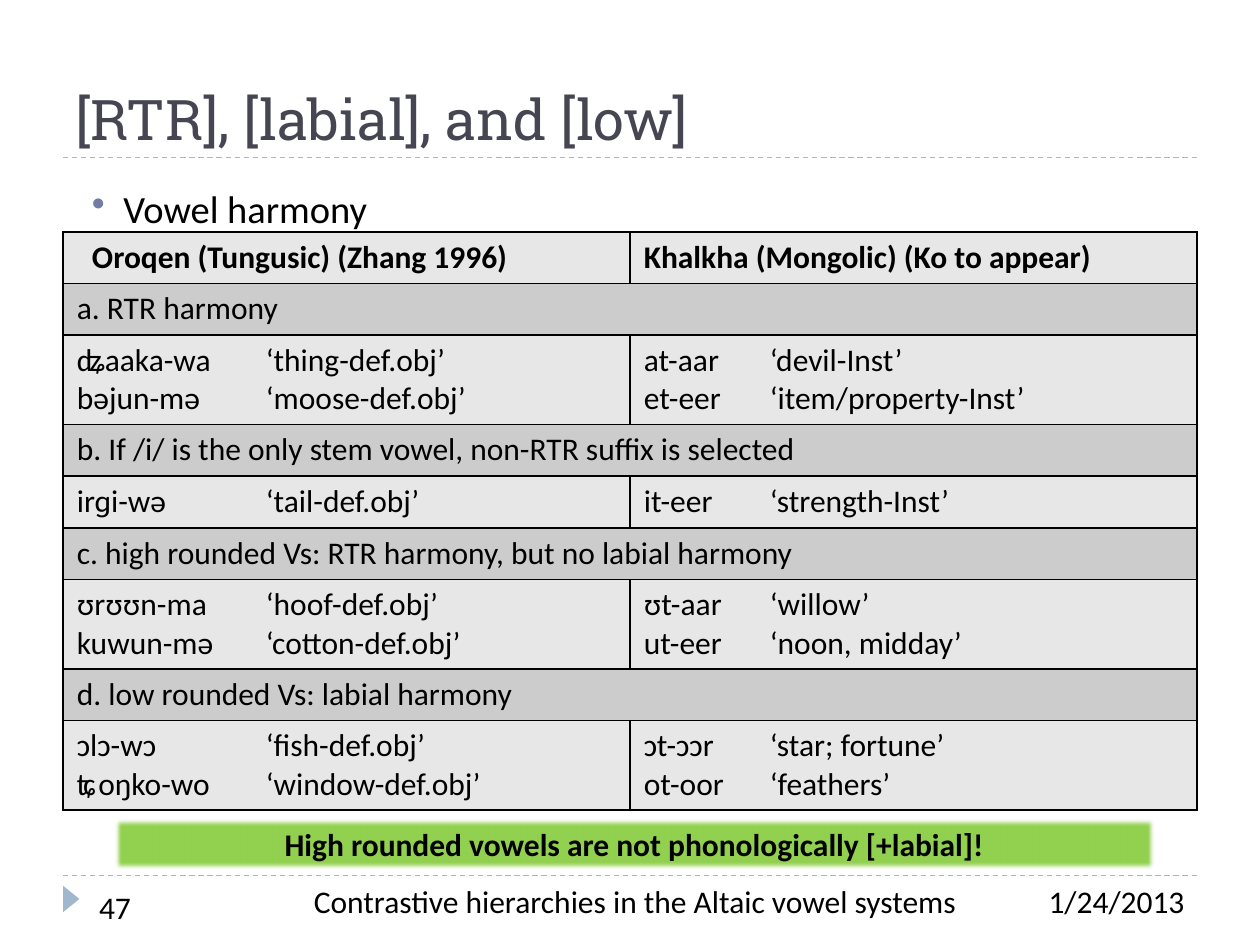
from lxml import etree
from pptx import Presentation
from pptx.dml.color import RGBColor
from pptx.enum.dml import MSO_LINE
from pptx.enum.shapes import MSO_CONNECTOR, MSO_SHAPE
from pptx.enum.text import MSO_ANCHOR, PP_ALIGN
from pptx.oxml.ns import qn
from pptx.util import Inches, Pt

STRAIGHT = MSO_CONNECTOR.STRAIGHT
DASH = MSO_LINE.DASH
RECT, TRIANGLE, BRACKETS = MSO_SHAPE.RECTANGLE, MSO_SHAPE.ISOSCELES_TRIANGLE, MSO_SHAPE.DOUBLE_BRACKET
LEFT, CENTER, RIGHT = PP_ALIGN.LEFT, PP_ALIGN.CENTER, PP_ALIGN.RIGHT
TOP, MIDDLE, BOTTOM = MSO_ANCHOR.TOP, MSO_ANCHOR.MIDDLE, MSO_ANCHOR.BOTTOM

COLORS = {
    "text": "000000", "title": "464653", "accent": "9FB8CD", "bullet": "727CA3",
    "example": "E7E7E7", "section": "CCCCCC", "callout": "92D050",
}
TAB_STOPS = (1.5, 1.0)
ROWS = [
    ("Oroqen (Tungusic) (Zhang 1996)", "Khalkha (Mongolic) (Ko to appear)"),
    ("a. RTR harmony",),
    ("ʥaaka-wa\t‘thing-def.obj’\nbəjun-mə\t‘moose-def.obj’",
     "at-aar\t‘devil-Inst’\net-eer\t‘item/property-Inst’"),
    ("b. If /i/ is the only stem vowel, non-RTR suffix is selected",),
    ("irɡi-wə\t‘tail-def.obj’", "it-eer\t‘strength-Inst’"),
    ("c. high rounded Vs: RTR harmony, but no labial harmony",),
    ("ʊrʊʊn-ma\t‘hoof-def.obj’\nkuwun-mə\t‘cotton-def.obj’",
     "ʊt-aar\t‘willow’\nut-eer\t‘noon, midday’"),
    ("d. low rounded Vs: labial harmony",),
    ("ɔlɔ-wɔ\t‘fish-def.obj’\nʨoŋko-wo\t‘window-def.obj’",
     "ɔt-ɔɔr\t‘star; fortune’\not-oor\t‘feathers’"),
]


def rgb(name):
    """Return the named colour."""
    return RGBColor.from_string(COLORS[name])


def box(left, top, width, height):
    """Convert a frame in inches to lengths."""
    return [Inches(v) for v in (left, top, width, height)]


def add_run(p, text, size=18, bold=False, color="text", font="Calibri"):
    """Add one formatted run to a paragraph."""
    r = p.add_run()
    r.text = text
    r.font.size, r.font.bold, r.font.name = Pt(size), bold, font
    r.font.color.rgb = rgb(color)


def add_text(s, frame, text, align=LEFT, anchor=TOP, **style):
    """Add a wrapped text box and return its paragraph."""
    tf = s.shapes.add_textbox(*box(*frame)).text_frame
    tf.word_wrap, tf.vertical_anchor = True, anchor
    p = tf.paragraphs[0]
    p.alignment = align
    add_run(p, text, **style)
    return p


def add_bullet(p, indent, hanging):
    """Give a paragraph a coloured bullet and a hanging indent."""
    pPr = p._p.get_or_add_pPr()
    pPr.set("marL", str(Inches(indent)))
    pPr.set("indent", str(-Inches(hanging)))
    clr = etree.SubElement(pPr, qn("a:buClr"))
    etree.SubElement(clr, qn("a:srgbClr"), val=COLORS["bullet"])
    etree.SubElement(pPr, qn("a:buChar"), char="•")


def add_shape(s, kind, frame, fill=None):
    """Add a preset shape without line or shadow."""
    sp = s.shapes.add_shape(kind, *box(*frame))
    sp.shadow.inherit = False
    sp.line.fill.background()
    if fill:
        sp.fill.solid()
        sp.fill.fore_color.rgb = rgb(fill)
    else:
        sp.fill.background()
    return sp


def add_label(sp, text, align, anchor, bold=False):
    """Write one line of text in a shape."""
    tf = sp.text_frame
    tf.word_wrap, tf.vertical_anchor = True, anchor
    p = tf.paragraphs[0]
    p.alignment = align
    add_run(p, text, bold=bold)


def soften_edges(sp, radius):
    """Blur the outline of a shape."""
    effects = sp._element.spPr.find(qn("a:effectLst"))
    etree.SubElement(effects, qn("a:softEdge"), rad=str(Pt(radius)))


def add_rule(s, y):
    """Draw a dashed line across the content width."""
    line = s.shapes.add_connector(STRAIGHT, Inches(0.5), Inches(y), Inches(9.5), Inches(y))
    line.line.color.rgb = rgb("accent")
    line.line.width, line.line.dash_style = Pt(0.75), DASH
    etree.SubElement(line._element.spPr, qn("a:effectLst"))


def style_cell(cell, fill):
    """Give a cell black borders and a solid fill."""
    tcPr = cell._tc.get_or_add_tcPr()
    for side in ("lnL", "lnR", "lnT", "lnB"):
        ln = etree.SubElement(tcPr, qn(f"a:{side}"), w=str(Pt(1)))
        solid = etree.SubElement(ln, qn("a:solidFill"))
        etree.SubElement(solid, qn("a:srgbClr"), val=COLORS["text"])
    cell.fill.solid()
    cell.fill.fore_color.rgb = rgb(fill)


def fill_cell(cell, text, tab, bold):
    """Write a cell's lines, with a tab stop where glosses follow."""
    cell.margin_left = cell.margin_right = Inches(0.11)
    tf = cell.text_frame
    for i, line in enumerate(text.split("\n")):
        p = tf.add_paragraph() if i else tf.paragraphs[0]
        if "\t" in line:
            tabs = etree.SubElement(p._p.get_or_add_pPr(), qn("a:tabLst"))
            etree.SubElement(tabs, qn("a:tab"), pos=str(Inches(tab)), algn="l")
        add_run(p, line, bold=bold)


def add_harmony_table(s):
    """Add the table of examples, with section rows spanning both columns."""
    table = s.shapes.add_table(len(ROWS), 2, *box(0.5, 1.84, 9, 4.53)).table
    table.first_row = table.horz_banding = False
    for i, texts in enumerate(ROWS):
        table.rows[i].height = Inches(0.71 if "\n" in texts[0] else 0.41)
        section = len(texts) == 1
        for j in range(2):
            style_cell(table.cell(i, j), "section" if section else "example")
        if section:
            table.cell(i, 0).merge(table.cell(i, 1))
        for j, text in enumerate(texts):
            fill_cell(table.cell(i, j), text, TAB_STOPS[j], bold=i == 0)
    heading = table.cell(0, 0).text_frame.paragraphs[0]
    heading._p.get_or_add_pPr().set("marL", str(Inches(0.12)))


def main():
    """Build and save the slide."""
    prs = Presentation()
    prs.slide_width, prs.slide_height = Inches(10), Inches(7.5)
    s = prs.slides.add_slide(prs.slide_layouts[6])

    for y in (6.95, 1.25):
        add_rule(s, y)
    add_shape(s, TRIANGLE, (0.46, 7.07, 0.21, 0.13), "accent").rotation = 90

    add_text(s, (0.5, 0.17, 9, 1.08), "[RTR], [labial], and [low]", anchor=BOTTOM,
             size=32, color="title", font="Roboto Slab")
    add_harmony_table(s)

    add_text(s, (8.07, 6.95, 1.43, 0.4), "1/24/2013", RIGHT)
    add_text(s, (2.01, 6.95, 6.06, 0.4), "Contrastive hierarchies in the Altaic vowel systems", CENTER)
    add_label(add_shape(s, BRACKETS, (0.67, 6.98, 1.34, 0.37)), "47", LEFT, TOP)

    p = add_text(s, (0.5, 1.42, 8.58, 0.58), "Vowel harmony", size=22)
    p.space_before = Pt(4.4)
    add_bullet(p, 0.38, 0.25)

    callout = add_shape(s, RECT, (0.91, 6.5, 8.25, 0.4), "callout")
    soften_edges(callout, 2.5)
    add_label(callout, "High rounded vowels are not phonologically [+labial]!", CENTER, MIDDLE, bold=True)

    prs.save("out.pptx")


if __name__ == "__main__":
    main()
